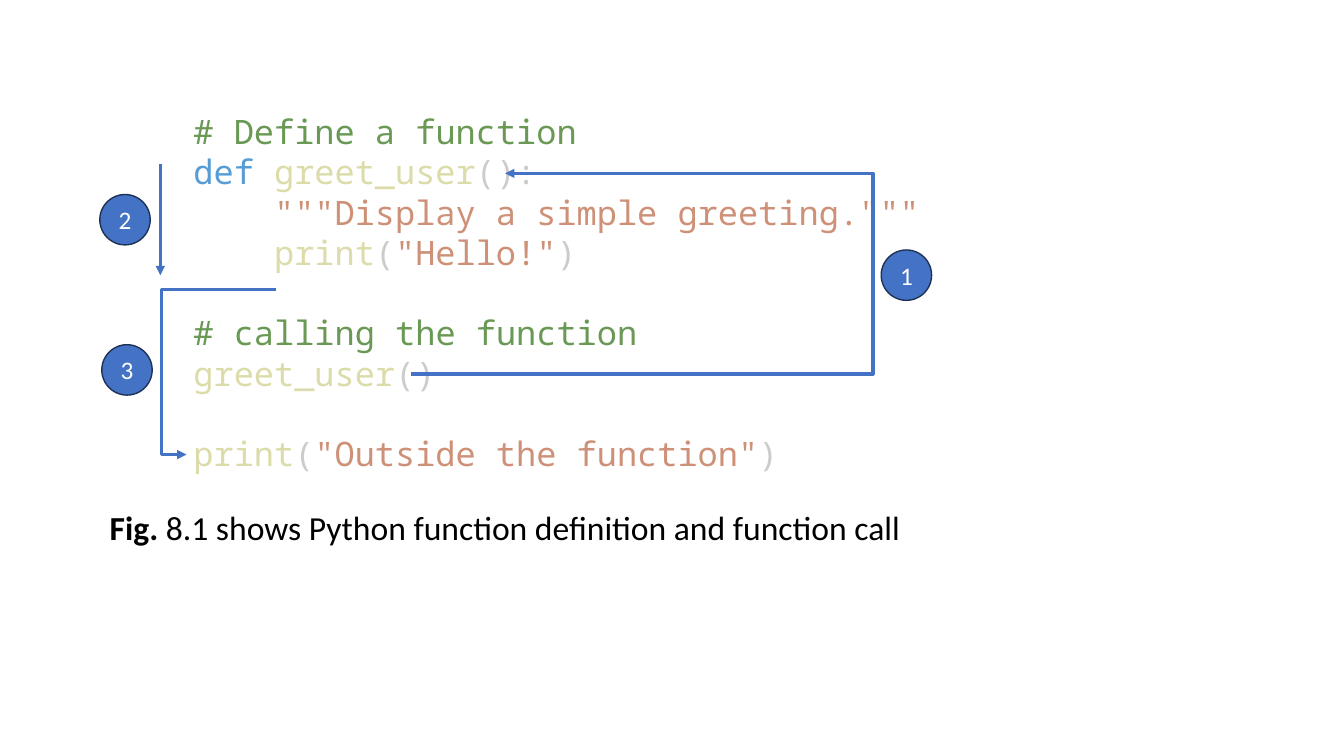
from lxml import etree
from pptx import Presentation, util as u
from pptx.dml.color import RGBColor
from pptx.enum import shapes, text
from pptx.oxml.ns import qn

BLUE, NAVY = "4472C4", "1E3256"
PLAIN, NOTE, WORD, NAME, QUOTE = "CCCCCC", "6A9955", "569CD6", "DCDCAA", "CE9178"
PITCH = 28.8  # line height of the code in points

# Each line of code: indent, blank lines before, coloured parts
CODE = [
    (0, 0, [("# Define a function", NOTE)]),
    (0, 0, [("def ", WORD), ("greet_user", NAME), ("():", PLAIN)]),
    (0.8, 0, [('"""Display a simple greeting."""', QUOTE)]),
    (0.8, 0, [("print", NAME), ("(", PLAIN), ('"Hello!"', QUOTE), (")", PLAIN)]),
    (0, 1, [("# calling the function", NOTE)]),
    (0, 0, [("greet_user", NAME), ("()", PLAIN)]),
    (0, 1, [("print", NAME), ("(", PLAIN), ('"Outside the function"', QUOTE), (")", PLAIN)]),
]


def paint(color, value):
    color.rgb = RGBColor.from_string(value)


def write(para, words, size, color, face="Calibri", bold=False):
    run = para.add_run()
    run.text = words
    run.font.size, run.font.name, run.font.bold = u.Pt(size), face, bold
    paint(run.font.color, color)


def frame(slide, x, y, w, h):
    box = slide.shapes.add_textbox(*map(u.Inches, (x, y, w, h)))
    box.text_frame.word_wrap = True
    return box.text_frame


def listing(slide, x, y, w, h):
    body = frame(slide, x, y, w, h)
    for i, (indent, gap, parts) in enumerate(CODE):
        para = body.add_paragraph() if i else body.paragraphs[0]
        para.line_spacing = u.Pt(PITCH)
        para.space_before = u.Pt(gap * PITCH)
        if indent:
            para._p.get_or_add_pPr().set("marL", str(u.Inches(indent)))
        for words, color in parts:
            write(para, words, 24, color, "Noto Sans Mono")


def caption(slide, x, y, w, h):
    para = frame(slide, x, y, w, h).paragraphs[0]
    write(para, "Fig.", 24, "000000", bold=True)
    write(para, " 8.1 shows Python function definition and function call", 24, "000000")


def arrow(slide, x1, y1, x2, y2, bend=None):
    """Draw a straight arrow, or an elbow whose upright part is at x = bend."""
    kind = shapes.MSO_CONNECTOR.STRAIGHT if bend is None else shapes.MSO_CONNECTOR.ELBOW
    line = slide.shapes.add_connector(kind, *map(u.Inches, (x1, y1, x2, y2)))
    line.line.width = u.Pt(2.25)
    paint(line.line.color, BLUE)
    etree.SubElement(line.line._get_or_add_ln(), qn("a:tailEnd"), type="triangle")
    props = line._element.spPr
    etree.SubElement(props, qn("a:effectLst"))
    if bend is not None:
        ratio = round((bend - x1) / (x2 - x1) * 100000)
        guides = props.find(qn("a:prstGeom")).get_or_add_avLst()
        etree.SubElement(guides, qn("a:gd"), name="adj1", fmla=f"val {ratio}")


def badge(slide, label, x, y, size=0.5):
    disc = slide.shapes.add_shape(shapes.MSO_SHAPE.OVAL, *map(u.Inches, (x, y, size, size)))
    disc.shadow.inherit = False
    disc.fill.solid()
    paint(disc.fill.fore_color, BLUE)
    paint(disc.line.color, NAVY)
    disc.line.width = u.Pt(1)
    disc.text_frame.vertical_anchor = text.MSO_ANCHOR.MIDDLE
    para = disc.text_frame.paragraphs[0]
    para.alignment = text.PP_ALIGN.CENTER
    write(para, label, 18, "FFFFFF")


def main():
    deck = Presentation()
    deck.slide_width, deck.slide_height = u.Inches(13.33), u.Inches(7.5)
    slide = deck.slides.add_slide(deck.slide_layouts[6])

    # Text
    caption(slide, 0.99, 4.98, 10.7, 0.5)
    listing(slide, 1.82, 1.05, 7.98, 4.14)

    # Flow: call, body, return
    arrow(slide, 4.08, 3.71, 5.01, 1.72, bend=8.66)
    arrow(slide, 1.59, 1.63, 1.59, 2.73)
    arrow(slide, 2.74, 2.87, 1.85, 4.51, bend=1.6)

    # Step numbers
    for label, x, y in [("1", 8.74, 2.48), ("2", 0.99, 1.93), ("3", 1.01, 3.42)]:
        badge(slide, label, x, y)

    deck.save("out.pptx")


if __name__ == "__main__":
    main()
